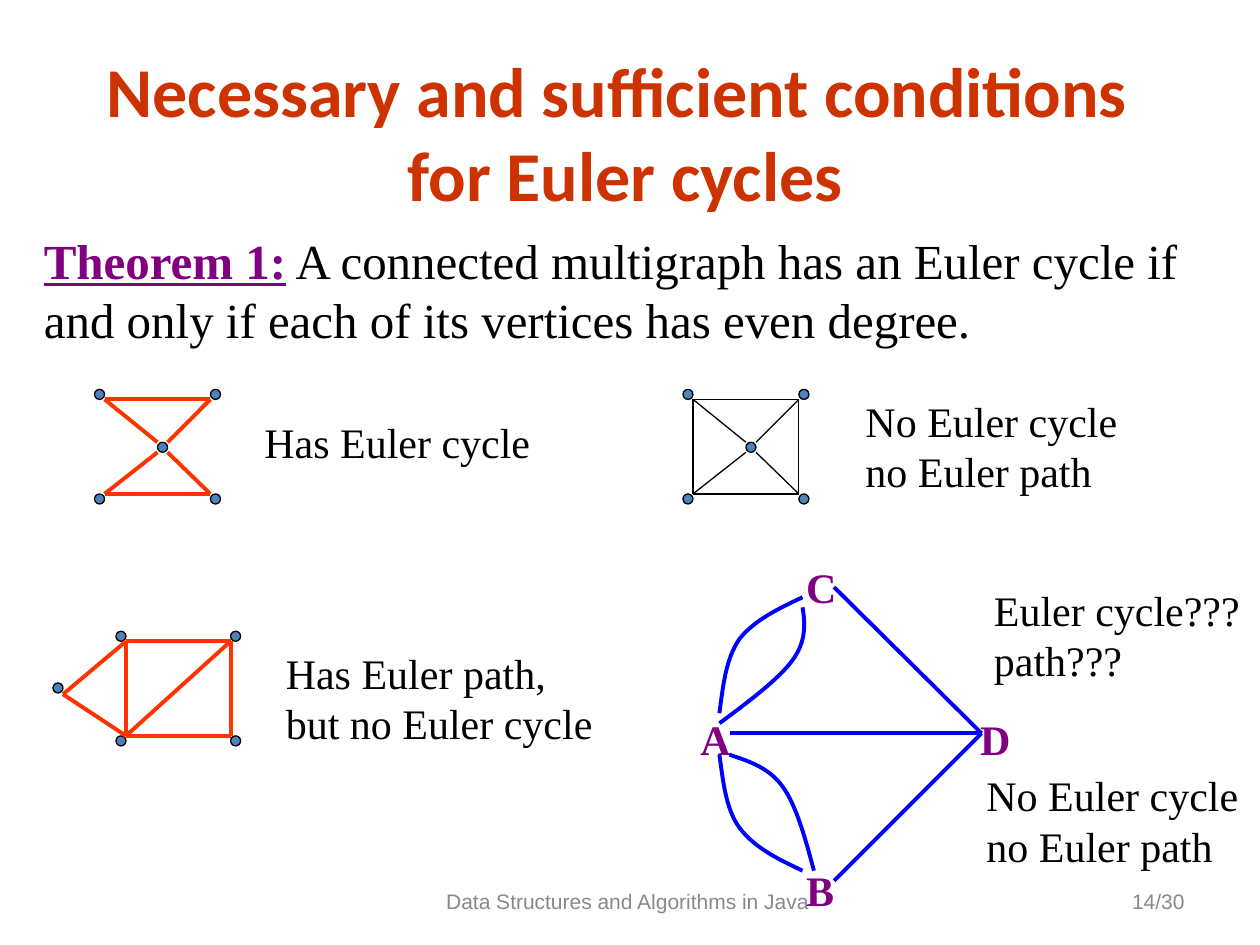
from lxml import etree
from pptx import Presentation
from pptx import util as u
from pptx.dml import color
from pptx.enum import shapes, text
from pptx.oxml import ns

HUES = {"title": "CC3300", "mark": "800080", "ink": "000000", "gray": "898989",
        "dot": "4F81BD", "path": "FF3300", "edge": "0000FF"}
SERIF = "Times New Roman"
LEFT, MID, RIGHT = text.PP_ALIGN.LEFT, text.PP_ALIGN.CENTER, text.PP_ALIGN.RIGHT

CROSS_DOTS = [(0, 0), (0, .83), (.5, .42), (.92, 0), (.92, .83)]
CROSS = [(.08, .08, .92, .08), (.08, .83, .92, .83),
         (.08, .08, .5, .42), (.92, .08, .58, .42),
         (.08, .83, .5, .5), (.58, .5, .92, .83)]
SIDES = [(.08, .08, .08, .83), (.92, .08, .92, .83)]
HOUSE_DOTS = [(.5, 0), (.5, .83), (1.41, 0), (1.41, .83), (0, .41)]
HOUSE = [(.58, .08, 1.41, .08), (.58, .83, 1.41, .83),
         (.58, .08, .58, .83), (1.41, .08, 1.41, .83),
         (1.41, .08, .58, .83), (.08, .5, .58, .08), (.08, .5, .58, .83)]
SPOKES = [(6.62, 4.66, 7.79, 5.82), (5.79, 5.82, 7.79, 5.82), (7.79, 5.82, 6.62, 6.99)]
CURVES = [
    [(5.71, 5.66), (5.74, 5.44), (5.76, 5.23), (5.87, 5.07),
     (5.99, 4.92), (6.18, 4.83), (6.37, 4.74)],
    [(6.37, 4.82), (6.39, 4.95), (6.4, 5.09), (6.29, 5.24),
     (6.18, 5.39), (5.94, 5.57), (5.71, 5.74)],
    [(5.71, 5.99), (5.74, 6.2), (5.76, 6.42), (5.87, 6.57),
     (5.99, 6.73), (6.18, 6.82), (6.37, 6.91)],
    [(5.79, 5.99), (5.94, 6.04), (6.1, 6.09), (6.21, 6.24),
     (6.32, 6.39), (6.39, 6.65), (6.46, 6.91)],
]


def tint(name):
    return color.RGBColor.from_string(HUES[name])


def ink(line, hue, width):
    line.color.rgb = tint(hue)
    line.width = u.Pt(width)


def add_text(slide, box, lines, size=24, hue="ink", face=SERIF, bold=False, align=LEFT,
             anchor=text.MSO_ANCHOR.TOP):
    frame = slide.shapes.add_textbox(*map(u.Inches, box)).text_frame
    frame.word_wrap = True
    frame.vertical_anchor = anchor
    for i, line in enumerate(lines):
        para = frame.add_paragraph() if i else frame.paragraphs[0]
        para.text = line
        para.alignment = align
        if face == SERIF:
            para.line_spacing = u.Pt(size * 1.2)
        font = para.font
        font.name, font.size, font.bold = face, u.Pt(size), bold
        font.color.rgb = tint(hue)
    return frame


def add_line(slide, ends, hue, width):
    link = slide.shapes.add_connector(shapes.MSO_CONNECTOR.STRAIGHT, *map(u.Inches, ends))
    ink(link.line, hue, width)
    etree.SubElement(link._element.spPr, ns.qn("a:effectLst"))


def add_dot(slide, x, y):
    dot = slide.shapes.add_shape(shapes.MSO_SHAPE.OVAL,
                                 *map(u.Inches, (x, y, .08, .08)))
    dot.shadow.inherit = False
    dot.fill.solid()
    dot.fill.fore_color.rgb = tint("dot")
    ink(dot.line, "ink", .75)


def add_graph(slide, left, top, dots, edges, hue, width):
    for x, y in dots:
        add_dot(slide, left + x, top + y)
    for x1, y1, x2, y2 in edges:
        add_line(slide, (left + x1, top + y1, left + x2, top + y2), hue, width)


def add_curve(slide, points):
    start, *rest = [(u.Inches(x), u.Inches(y)) for x, y in points]
    pen = slide.shapes.build_freeform(*start)
    pen.add_line_segments(rest, close=False)
    curve = pen.convert_to_shape()
    curve.shadow.inherit = False
    curve.fill.background()
    ink(curve.line, "edge", 2.25)
    steps = list(curve._element.iter(ns.qn("a:lnTo")))
    track = steps[0].getparent()
    for i in range(0, len(steps), 3):
        bend = etree.SubElement(track, ns.qn("a:cubicBezTo"))
        for step in steps[i:i + 3]:
            bend.append(step[0])
            track.remove(step)


def add_foot(slide, box, line, align):
    add_text(slide, box, [line], 12, "gray", "Arial", align=align,
             anchor=text.MSO_ANCHOR.MIDDLE)


def add_claim(slide):
    para = add_text(slide, (.25, 1.78, 9.49, 1.04), [""], 28).paragraphs[0]
    head = para.add_run()
    head.text = "Theorem 1:"
    head.font.bold = head.font.underline = True
    head.font.color.rgb = tint("mark")
    para.add_run().text = (" A connected multigraph has an Euler cycle if and only if "
                           "each of its vertices has even degree.")


def main():
    deck = Presentation()
    deck.slide_width, deck.slide_height = u.Inches(10), u.Inches(7.5)
    slide = deck.slides.add_slide(deck.slide_layouts[6])

    add_foot(slide, (3.17, 6.95, 3.67, .4), "Data Structures and Algorithms in Java ", MID)
    add_foot(slide, (7.17, 6.95, 2.33, .4), "14/30", RIGHT)
    add_text(slide, (.25, .42, 9.42, 1.25),
             ["Necessary and sufficient conditions \vfor Euler cycles"],
             40, "title", "Calibri", True, MID, text.MSO_ANCHOR.MIDDLE)
    add_claim(slide)

    for name, x, y in [("C", 6.3, 4.41), ("A", 5.46, 5.61),
                       ("D", 7.68, 5.61), ("B", 6.3, 6.81)]:
        add_text(slide, (x, y, .5, .5), [name], hue="mark", bold=True)
    for ends in SPOKES:
        add_line(slide, ends, "edge", 2.25)
    for points in CURVES:
        add_curve(slide, points)

    add_graph(slide, .75, 3.09, CROSS_DOTS, CROSS, "path", 2.25)
    add_graph(slide, 5.42, 3.09, CROSS_DOTS, CROSS + SIDES, "ink", .75)
    add_graph(slide, .42, 5.01, HOUSE_DOTS, HOUSE, "path", 2.25)

    neither = ["No Euler cycle", "no Euler path"]
    for box, lines in [
        ((2, 3.26, 2.4, .5), ["Has Euler cycle"]),
        ((2.17, 5.09, 2.8, .9), ["Has Euler path,", "but no Euler cycle"]),
        ((6.77, 3.09, 2.25, .9), neither),
        ((7.79, 4.59, 2.2, .9), ["Euler cycle???", "path???"]),
        ((7.73, 6.06, 2.25, .9), neither),
    ]:
        add_text(slide, box, lines)

    deck.save("out.pptx")


if __name__ == "__main__":
    main()
